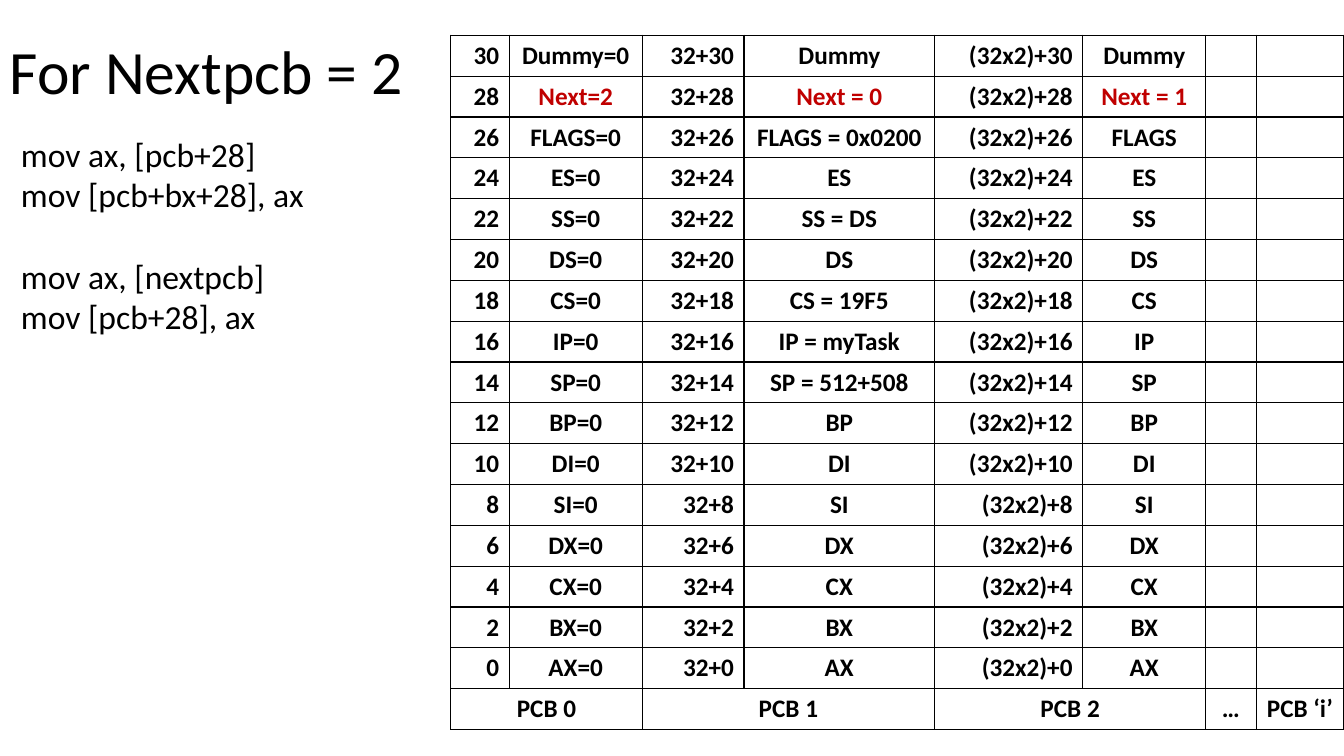
from dataclasses import dataclass

from lxml import etree
from pptx import Presentation
from pptx.dml.color import RGBColor
from pptx.enum.text import MSO_ANCHOR, PP_ALIGN
from pptx.oxml.ns import qn
from pptx.util import Inches, Pt

LEFT, CENTER, RIGHT = PP_ALIGN.LEFT, PP_ALIGN.CENTER, PP_ALIGN.RIGHT
MIDDLE, TOP = MSO_ANCHOR.MIDDLE, MSO_ANCHOR.TOP
BLANK_LAYOUT = 6


@dataclass(frozen=True)
class Theme:
    font: str = "Calibri"
    ink: str = "000000"
    accent: str = "C00000"
    title_size: int = 44
    code_size: int = 24
    cell_size: int = 18
    border_width: int = 1


THEME = Theme()
SLIDE_SIZE = (13.33, 7.5)
TITLE_BOX = (0, 0.01, 11.5, 1.45)
CODE_BOX = (0.11, 1.28, 3.03, 2.12)
TABLE_BOX = (4.47, 0.35, 8.86, 6.89)
COLUMN_WIDTHS = (0.58, 1.32, 1.01, 1.89, 1.47, 1.22, 0.5, 0.87)

CODE_GROUPS = (
    ("mov ax, [pcb+28]", "mov [pcb+bx+28], ax"),
    ("mov ax, [nextpcb]", "mov [pcb+28], ax"),
)
FIELDS = ("Dummy", "Next", "FLAGS", "ES", "SS", "DS", "CS", "IP",
          "SP", "BP", "DI", "SI", "DX", "CX", "BX", "AX")
PCB0_VALUES = {"Next": "2"}
PCB1_VALUES = {"Next": "0", "FLAGS": "0x0200", "SS": "DS", "CS": "19F5",
               "IP": "myTask", "SP": "512+508"}
PCB2_VALUES = {"Next": "1"}
FOOTER = ("PCB 0", "", "PCB 1", "", "PCB 2", "", "…", "PCB ‘i’")
MERGED_STARTS = (0, 2, 4)


def style_paragraph(paragraph, size, color=THEME.ink, bold=False, align=LEFT):
    paragraph.alignment = align
    font = paragraph.font
    font.name, font.size, font.bold = THEME.font, Pt(size), bold
    font.color.rgb = RGBColor.from_string(color)


def add_text_box(slide, box, anchor, wrap):
    frame = slide.shapes.add_textbox(*map(Inches, box)).text_frame
    frame.word_wrap = wrap
    frame.vertical_anchor = anchor
    return frame


def add_title(slide, box):
    paragraph = add_text_box(slide, box, MIDDLE, True).paragraphs[0]
    paragraph.text = "For Nextpcb = 2"
    paragraph.line_spacing = 0.9
    style_paragraph(paragraph, THEME.title_size)


def add_code(slide, box):
    """Place the instruction groups, one line's height apart."""
    frame = add_text_box(slide, box, TOP, False)
    for group_index, group in enumerate(CODE_GROUPS):
        for line_index, line in enumerate(group):
            first = group_index == line_index == 0
            paragraph = frame.paragraphs[0] if first else frame.add_paragraph()
            paragraph.text = line
            style_paragraph(paragraph, THEME.code_size)
            if group_index and not line_index:
                paragraph.space_before = Pt(1.22 * THEME.code_size)


def set_borders(cell):
    properties = cell._tc.get_or_add_tcPr()
    for position, side in enumerate(("a:lnL", "a:lnR", "a:lnT", "a:lnB")):
        line = etree.Element(qn(side), w=str(Pt(THEME.border_width)))
        fill = etree.SubElement(line, qn("a:solidFill"))
        etree.SubElement(fill, qn("a:srgbClr"), val=THEME.ink)
        properties.insert(position, line)


def assigned(field, values):
    return f"{field} = {values[field]}" if field in values else field


def memory_rows():
    """Yield the texts of each row, from the highest offset down."""
    for index, field in enumerate(FIELDS):
        offset = 2 * (len(FIELDS) - 1 - index)
        yield (str(offset), f"{field}={PCB0_VALUES.get(field, '0')}",
               f"32+{offset}", assigned(field, PCB1_VALUES),
               f"(32x2)+{offset}", assigned(field, PCB2_VALUES), "", "")
    yield FOOTER


def add_memory_table(slide, box):
    rows = list(memory_rows())
    footer_row = len(rows) - 1
    table = slide.shapes.add_table(
        len(rows), len(COLUMN_WIDTHS), *map(Inches, box)).table
    table.first_row = table.horz_banding = False
    for column, width in zip(table.columns, COLUMN_WIDTHS):
        column.width = Inches(width)
    for row_index, texts in enumerate(rows):
        for column_index, text in enumerate(texts):
            cell = table.cell(row_index, column_index)
            cell.fill.background()
            set_borders(cell)
            is_offset = column_index in MERGED_STARTS and row_index < footer_row
            paragraph = cell.text_frame.paragraphs[0]
            paragraph.text = text
            style_paragraph(
                paragraph, THEME.cell_size, bold=True,
                color=THEME.accent if text.startswith("Next") else THEME.ink,
                align=RIGHT if is_offset else CENTER)
    for start in MERGED_STARTS:
        table.cell(footer_row, start).merge(table.cell(footer_row, start + 1))


def main():
    presentation = Presentation()
    presentation.slide_width, presentation.slide_height = map(Inches, SLIDE_SIZE)
    slide = presentation.slides.add_slide(presentation.slide_layouts[BLANK_LAYOUT])
    add_title(slide, TITLE_BOX)
    add_memory_table(slide, TABLE_BOX)
    add_code(slide, CODE_BOX)
    presentation.save("out.pptx")


if __name__ == "__main__":
    main()
